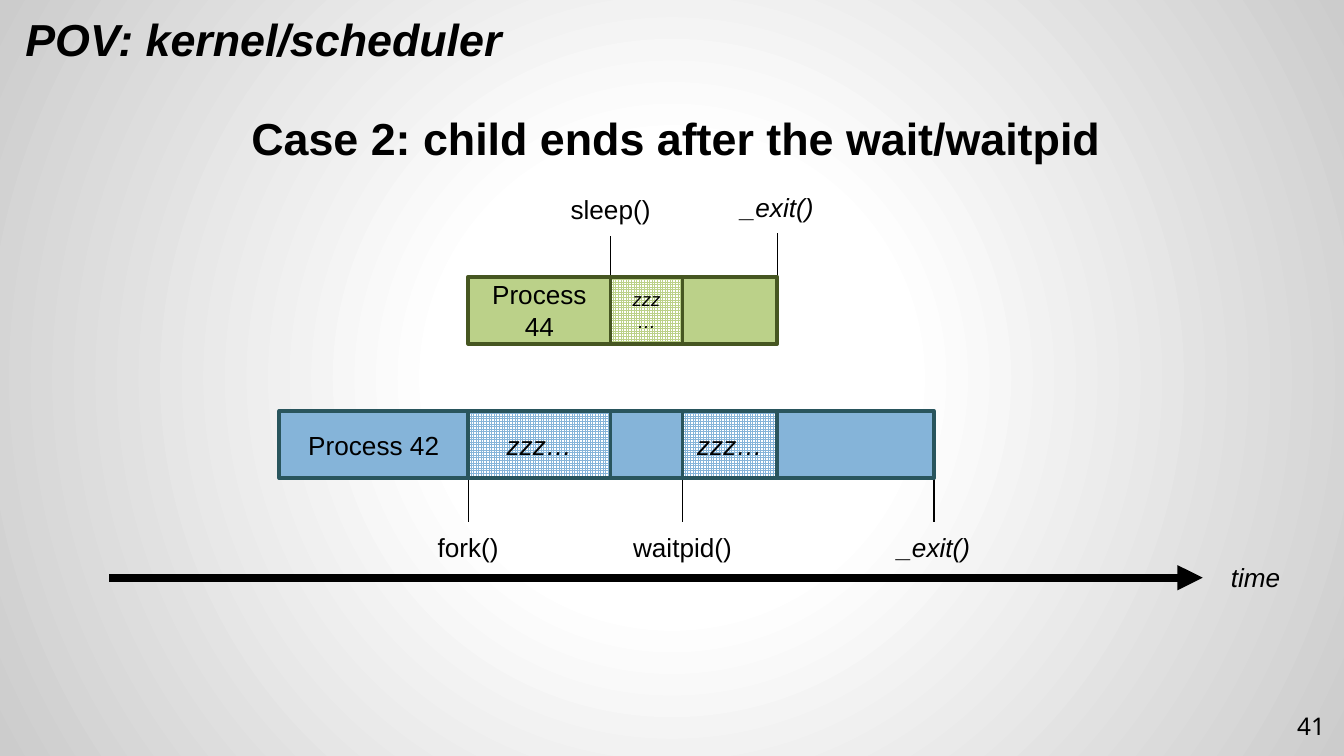
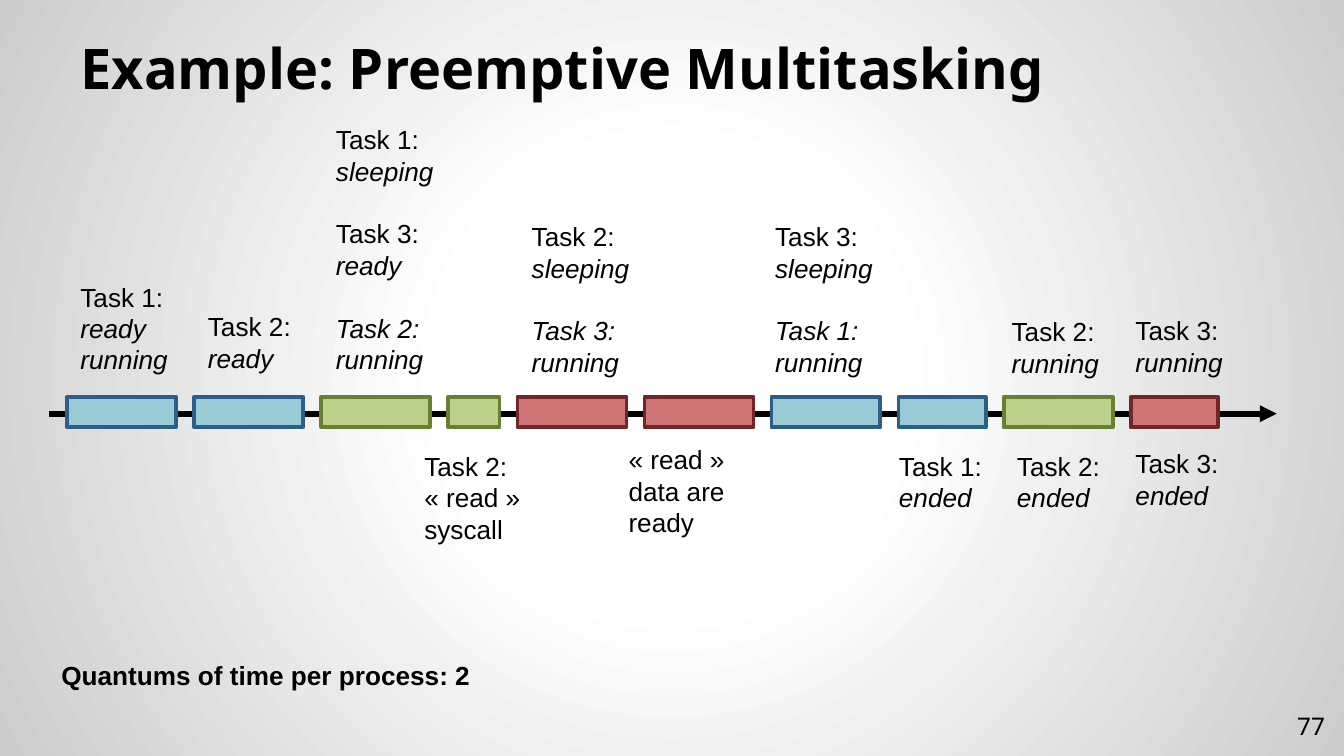
from collections import namedtuple
from itertools import pairwise

from lxml.etree import SubElement
from pptx import Presentation
from pptx.dml.color import RGBColor
from pptx.enum.dml import MSO_PATTERN
from pptx.enum.shapes import MSO_CONNECTOR, MSO_SHAPE
from pptx.enum.text import MSO_ANCHOR, MSO_AUTO_SIZE, PP_ALIGN
from pptx.oxml import parse_xml
from pptx.oxml.ns import nsdecls, qn
from pptx.util import Cm, Pt

BLACK = RGBColor(0x00, 0x00, 0x00)
WHITE = RGBColor(0xFF, 0xFF, 0xFF)
GREY = RGBColor(0xCC, 0xCC, 0xCC)
SKY = RGBColor(0x85, 0xB4, 0xD9)
DARK_TEAL = RGBColor(0x29, 0x55, 0x5D)
GREEN = RGBColor(0xBB, 0xD1, 0x89)
DARK_GREEN = RGBColor(0x46, 0x56, 0x21)
OLIVE = RGBColor(0x68, 0x80, 0x31)
AQUA = RGBColor(0x9A, 0xCA, 0xD3)
NAVY = RGBColor(0x2B, 0x5F, 0x8A)
RED = RGBColor(0xD0, 0x75, 0x76)
DARK_RED = RGBColor(0x71, 0x26, 0x27)

BODY = {"name": "Arial", "size": Pt(14), "bold": False, "italic": False}
ITALIC = BODY | {"italic": True}
BOLD = BODY | {"bold": True}
SMALL_ITALIC = ITALIC | {"size": Pt(10)}
HEADING = BOLD | {"size": Pt(24)}
POINT_OF_VIEW = HEADING | {"italic": True}
TITLE = {"name": "Noto Sans", "size": Pt(30), "bold": True}
NUMBER = {"name": "Noto Sans", "size": Pt(13)}

GROUP_GAP = Pt(16.8)
LABEL_WIDTH = 2.41
LINE_HEIGHT = 0.6
TEXT_MARGIN = 0.25

Line = namedtuple("Line", "text font gap", defaults=(BODY, 0))


class Deck:
    def __init__(self):
        self.presentation = Presentation()
        self.presentation.slide_width = Cm(25.4)
        self.presentation.slide_height = Cm(14.29)
        self.layout = self.presentation.slide_layouts[6]
        self.slide = None
        self.paint_background()

    def paint_background(self):
        stops = "".join(
            f'<a:gs pos="{position * 1000}"><a:srgbClr val="{color}"/></a:gs>'
            for position, color in ((0, WHITE), (30, WHITE), (100, GREY))
        )
        background = parse_xml(
            f'<p:bg {nsdecls("p", "a")}><p:bgPr><a:gradFill rotWithShape="1">'
            f'<a:gsLst>{stops}</a:gsLst><a:path path="circle">'
            '<a:fillToRect l="50000" t="50000" r="50000" b="50000"/></a:path>'
            "</a:gradFill><a:effectLst/></p:bgPr></p:bg>"
        )
        self.layout._element.cSld.insert(0, background)

    def new_slide(self, number):
        self.slide = self.presentation.slides.add_slide(self.layout)
        self.text(23.77, 13.18, 1.52, 1.09, [Line(number, NUMBER)],
                  PP_ALIGN.RIGHT, MSO_ANCHOR.MIDDLE, TEXT_MARGIN, False)

    def set_lines(self, shape, lines, align, anchor):
        frame = shape.text_frame
        frame.word_wrap = True
        frame.vertical_anchor = anchor
        for index, line in enumerate(lines):
            paragraph = frame.add_paragraph() if index else frame.paragraphs[0]
            paragraph.alignment = align
            if line.gap:
                paragraph.space_before = line.gap
            run = paragraph.add_run()
            run.text = line.text
            for attribute, value in line.font.items():
                setattr(run.font, attribute, value)
            run.font.color.rgb = BLACK

    def text(self, left, top, width, height, lines, align=PP_ALIGN.LEFT,
             anchor=MSO_ANCHOR.TOP, vertical_margin=0.13, grow=True):
        shape = self.slide.shapes.add_textbox(Cm(left), Cm(top), Cm(width), Cm(height))
        self.set_lines(shape, lines, align, anchor)
        frame = shape.text_frame
        frame.margin_left = frame.margin_right = Cm(TEXT_MARGIN)
        frame.margin_top = frame.margin_bottom = Cm(vertical_margin)
        frame.auto_size = MSO_AUTO_SIZE.SHAPE_TO_FIT_TEXT if grow else MSO_AUTO_SIZE.NONE

    def centered_label(self, center, top, width, line):
        self.text(center - width / 2, top, width, 0.86, [line], PP_ALIGN.CENTER)

    def bar(self, left, top, width, height, color, border, line=None, sleeping=False):
        shape = self.slide.shapes.add_shape(
            MSO_SHAPE.RECTANGLE, Cm(left), Cm(top), Cm(width), Cm(height))
        shape.shadow.inherit = False
        if sleeping:
            shape.fill.patterned()
            shape.fill.pattern = MSO_PATTERN.SMALL_GRID
            shape.fill.fore_color.rgb = color
            shape.fill.back_color.rgb = WHITE
        else:
            shape.fill.solid()
            shape.fill.fore_color.rgb = color
        shape.line.color.rgb = border
        shape.line.width = Pt(2)
        if line:
            self.set_lines(shape, [line], PP_ALIGN.CENTER, MSO_ANCHOR.MIDDLE)

    def process(self, edges, top, color, border, segments):
        for (left, right), (line, sleeping) in zip(pairwise(edges), segments):
            self.bar(left, top, right - left, 1.27, color, border, line, sleeping)

    def line(self, start, end, width, arrow=False):
        connector = self.slide.shapes.add_connector(
            MSO_CONNECTOR.STRAIGHT, *(Cm(value) for value in (*start, *end)))
        connector.line.color.rgb = BLACK
        connector.line.width = Pt(width)
        properties = connector._element.spPr
        if arrow:
            SubElement(properties.find(qn("a:ln")), qn("a:tailEnd"), type="triangle")
        SubElement(properties, qn("a:effectLst"))


def state(task, *statuses, task_font=BODY, gap=0):
    return [Line(f"Task {task}:", task_font, gap)] + [Line(text, ITALIC) for text in statuses]


def running_next(task):
    return state(task, "running", task_font=ITALIC, gap=GROUP_GAP)


def build_waitpid_slide(deck):
    deck.new_slide("41")
    deck.text(0.23, 0.1, 13.28, 1.27, [Line("POV: kernel/scheduler", POINT_OF_VIEW)])
    deck.text(4.5, 1.96, 18.06, 1.27,
              [Line("Case 2: child ends after the wait/waitpid", HEADING)])
    deck.line((2.06, 10.92), (22.73, 10.92), 4.5, arrow=True)
    deck.centered_label(23.73, 10.49, 2.51, Line("time", ITALIC))

    start, fork, sleep, wait, child_exit, parent_exit = 5.28, 8.85, 11.54, 12.9, 14.69, 17.65
    child_top, parent_top = 5.23, 7.77

    for center, line in ((fork, Line("fork()")), (wait, Line("waitpid()")),
                         (parent_exit, Line("_exit()", ITALIC))):
        deck.line((center, parent_top), (center, 9.86), 0.75)
        deck.centered_label(center, 9.91, 3.71, line)
    for center, top, line in ((sleep, 3.53, Line("sleep()")),
                              (child_exit, 3.48, Line("_exit()", ITALIC))):
        deck.line((center, child_top), (center, top + 0.93), 0.75)
        deck.centered_label(center, top, 4.65, line)

    snore = Line("zzz…", ITALIC)
    deck.process((fork, sleep, wait, child_exit), child_top, GREEN, DARK_GREEN,
                 ((Line("Process 44"), False), (Line("zzz…", SMALL_ITALIC), True),
                  (None, False)))
    deck.process((start, fork, sleep, wait, child_exit, parent_exit), parent_top,
                 SKY, DARK_TEAL,
                 ((Line("Process 42"), False), (snore, True), (None, False),
                  (snore, True), (None, False)))


def build_multitasking_slide(deck):
    deck.new_slide("77")
    deck.text(1.27, 0.58, 22.86, 1.57, [Line("Example: Preemptive Multitasking", TITLE)],
              PP_ALIGN.LEFT, MSO_ANCHOR.BOTTOM, TEXT_MARGIN, False)
    deck.line((0.92, 7.82), (24.13, 7.82), 3, arrow=True)

    task_colors = {1: (AQUA, NAVY), 2: (GREEN, OLIVE), 3: (RED, DARK_RED)}
    full, cut, short = 2.06, 1.65, 0.97
    left = 1.27
    for task, width in ((1, full), (1, full), (2, full), (2, short), (3, full),
                        (3, full), (1, full), (1, cut), (2, full), (3, cut)):
        deck.bar(left, 7.5, width, 0.58, *task_colors[task])
        left += width + 0.34

    labels = (
        (1.27, 5.18, 3, state(1, "ready", "running")),
        (3.68, 5.74, 2, state(2, "ready")),
        (6.1, 2.21, 8,
         state(1, "sleeping") + state(3, "ready", gap=GROUP_GAP) + running_next(2)),
        (9.8, 4.04, 5, state(2, "sleeping") + running_next(3)),
        (14.4, 4.04, 5, state(3, "sleeping") + running_next(1)),
        (18.87, 5.84, 2, state(2, "running")),
        (21.21, 5.82, 2, state(3, "running")),
        (7.77, 8.38, 3, state(2) + [Line("« read » syscall")]),
        (11.63, 8.26, 3, [Line("« read » data are ready")]),
        (16.74, 8.38, 2, state(1, "ended")),
        (18.97, 8.38, 2, state(2, "ended")),
        (21.21, 8.33, 2, state(3, "ended")),
    )
    for left, top, rows, lines in labels:
        deck.text(left, top, LABEL_WIDTH, rows * LINE_HEIGHT + TEXT_MARGIN, lines)
    deck.text(0.91, 12.34, 8.53, 0.86, [Line("Quantums of time per process: 2", BOLD)])


def main():
    deck = Deck()
    build_waitpid_slide(deck)
    build_multitasking_slide(deck)
    deck.presentation.save("out.pptx")


if __name__ == "__main__":
    main()
